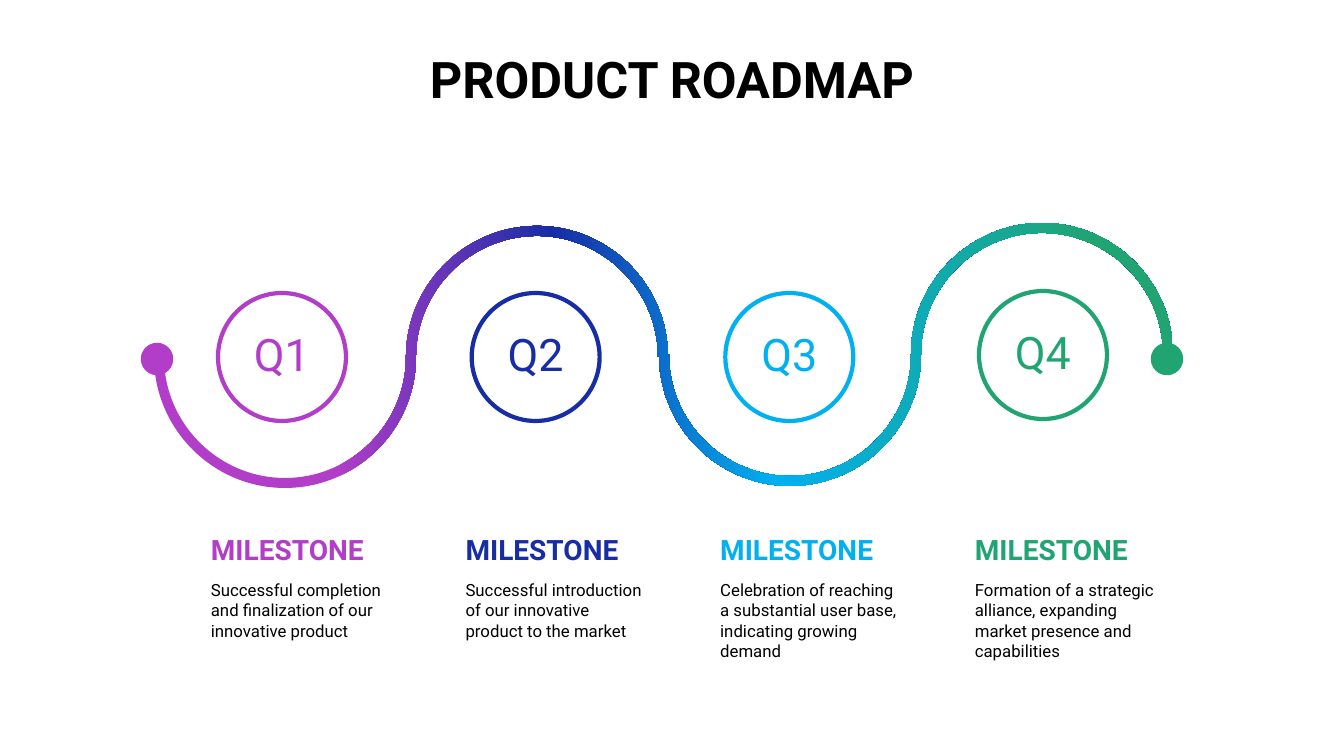
from copy import deepcopy

from pptx import Presentation
from pptx.dml.color import RGBColor
from pptx.enum.shapes import MSO_SHAPE
from pptx.enum.text import MSO_ANCHOR, PP_ALIGN
from pptx.oxml.ns import qn
from pptx.util import Pt

COLORS = {"purple": "B13DC8", "navy": "172DA6", "sky": "00B0F0",
          "green": "20A472", "black": "000000"}
TITLE = "PRODUCT ROADMAP"
HEADING = "MILESTONE"
QUARTERS = [
    ("Q1", "purple", 293, "Successful completion and finalization of our innovative product"),
    ("Q2", "navy", 293, "Successful introduction of our innovative product to the market"),
    ("Q3", "sky", 293, "Celebration of reaching a substantial user base, indicating growing demand"),
    ("Q4", "green", 291, "Formation of a strategic alliance, expanding market presence and capabilities"),
]
ARCS = [(285, 357, -1), (537, 357, 1), (790, 355, -1), (1042, 354, 1)]
RADIUS, HALF_WIDTH = 126, 5
HALF_CIRCLE = [(-1, 0), (-1, 0.55), (-0.55, 1), (0, 1), (0.55, 1), (1, 0.55), (1, 0)]
GRADIENT = [("purple", 0.18), ("navy", 0.39), ("sky", 0.61), ("green", 0.92)]
DOTS = [(145, "purple"), (1155, "green")]
DOT_TOP, DOT_SIZE = 347, 24
CIRCLE_FIRST, CIRCLE_LAST, CIRCLE_SIZE = 218, 979, 128
TEXT_FIRST, TEXT_LAST = 201, 965

TITLE_STYLE = {"size": Pt(36), "bold": True}
QUARTER_STYLE = {"size": Pt(32)}
HEADING_STYLE = {"size": Pt(20), "bold": True}
BODY_STYLE = {"size": Pt(12)}

SCALE = 914400 / 100.8


def px(*lengths):
    return [round(length * SCALE) for length in lengths]


def color(name):
    return RGBColor.from_string(COLORS[name])


def spread(first, last, index):
    return first + (last - first) * index / (len(QUARTERS) - 1)


def write(shape, text, name, style, align=None, anchor=MSO_ANCHOR.TOP, spacing=0.9):
    frame = shape.text_frame
    frame.word_wrap = True
    frame.vertical_anchor = anchor
    para = frame.paragraphs[0]
    para.alignment = align
    para.line_spacing = spacing
    span = para.add_run()
    span.text = text
    for key, value in {"name": "Roboto", **style}.items():
        setattr(span.font, key, value)
    span.font.color.rgb = color(name)


def add_text(page, place, *content, **layout):
    write(page.shapes.add_textbox(*px(*place)), *content, **layout)


def add_circle(page, left, top, size, name, weight, filled):
    circle = page.shapes.add_shape(MSO_SHAPE.OVAL, *px(left, top, size, size))
    circle.shadow.inherit = False
    if filled:
        circle.fill.solid()
        circle.fill.fore_color.rgb = color(name)
    else:
        circle.fill.background()
    circle.line.color.rgb = color(name)
    circle.line.width = Pt(weight)
    return circle


def wave_edge(side):
    points = []
    for center_x, center_y, rise in ARCS:
        radius = RADIUS + side * rise * HALF_WIDTH
        points += [px(center_x + radius * across, center_y - rise * radius * up)
                   for across, up in HALF_CIRCLE]
    return points


def bend(wave):
    outline = next(wave.element.iter(qn("a:path")))
    nodes = list(outline)[:-1]
    for start in range(0, len(nodes), len(HALF_CIRCLE)):
        for first in (start + 1, start + 4):
            curve = outline.makeelement(qn("a:cubicBezTo"))
            nodes[first].addprevious(curve)
            for node in nodes[first:first + 3]:
                curve.append(node[0])
                outline.remove(node)


def add_wave(page):
    points = wave_edge(1) + wave_edge(-1)[::-1]
    builder = page.shapes.build_freeform(*points[0])
    builder.add_line_segments(points[1:], close=True)
    wave = builder.convert_to_shape()
    bend(wave)
    wave.shadow.inherit = False
    wave.line.fill.background()
    wave.fill.gradient()
    wave.fill.gradient_angle = 0
    stops = next(wave.element.iter(qn("a:gsLst")))
    for stop in list(stops):
        stops.append(deepcopy(stop))
    for stop, (name, position) in zip(wave.fill.gradient_stops, GRADIENT):
        stop.color.rgb = color(name)
        stop.position = position


def main():
    deck = Presentation()
    deck.slide_width, deck.slide_height = px(1344, 756)
    page = deck.slides.add_slide(deck.slide_layouts[6])
    add_wave(page)
    for left, name in DOTS:
        add_circle(page, left, DOT_TOP, DOT_SIZE, name, 6, True)
    add_text(page, (25, 50, 1294, 130), TITLE, "black", TITLE_STYLE, align=PP_ALIGN.CENTER)
    for index, (quarter, name, top, body) in enumerate(QUARTERS):
        circle = add_circle(page, spread(CIRCLE_FIRST, CIRCLE_LAST, index), top,
                            CIRCLE_SIZE, name, 3, False)
        write(circle, quarter, name, QUARTER_STYLE, PP_ALIGN.CENTER, MSO_ANCHOR.MIDDLE)
        left = spread(TEXT_FIRST, TEXT_LAST, index)
        add_text(page, (left, 531, 198, 33), HEADING, name, HEADING_STYLE)
        add_text(page, (left, 575, 200, 78), body, "black", BODY_STYLE, spacing=None)
    deck.save("out.pptx")


if __name__ == "__main__":
    main()
